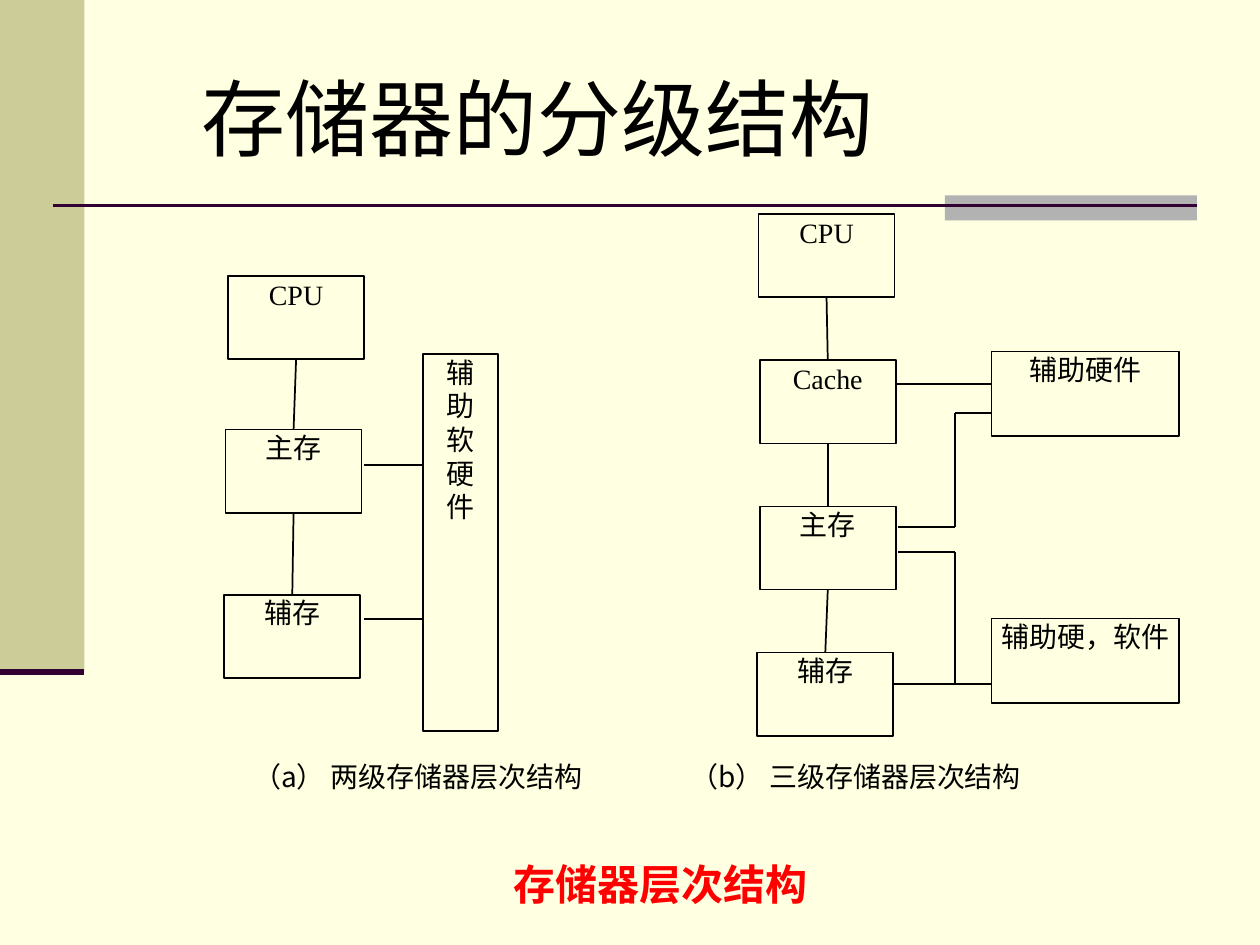
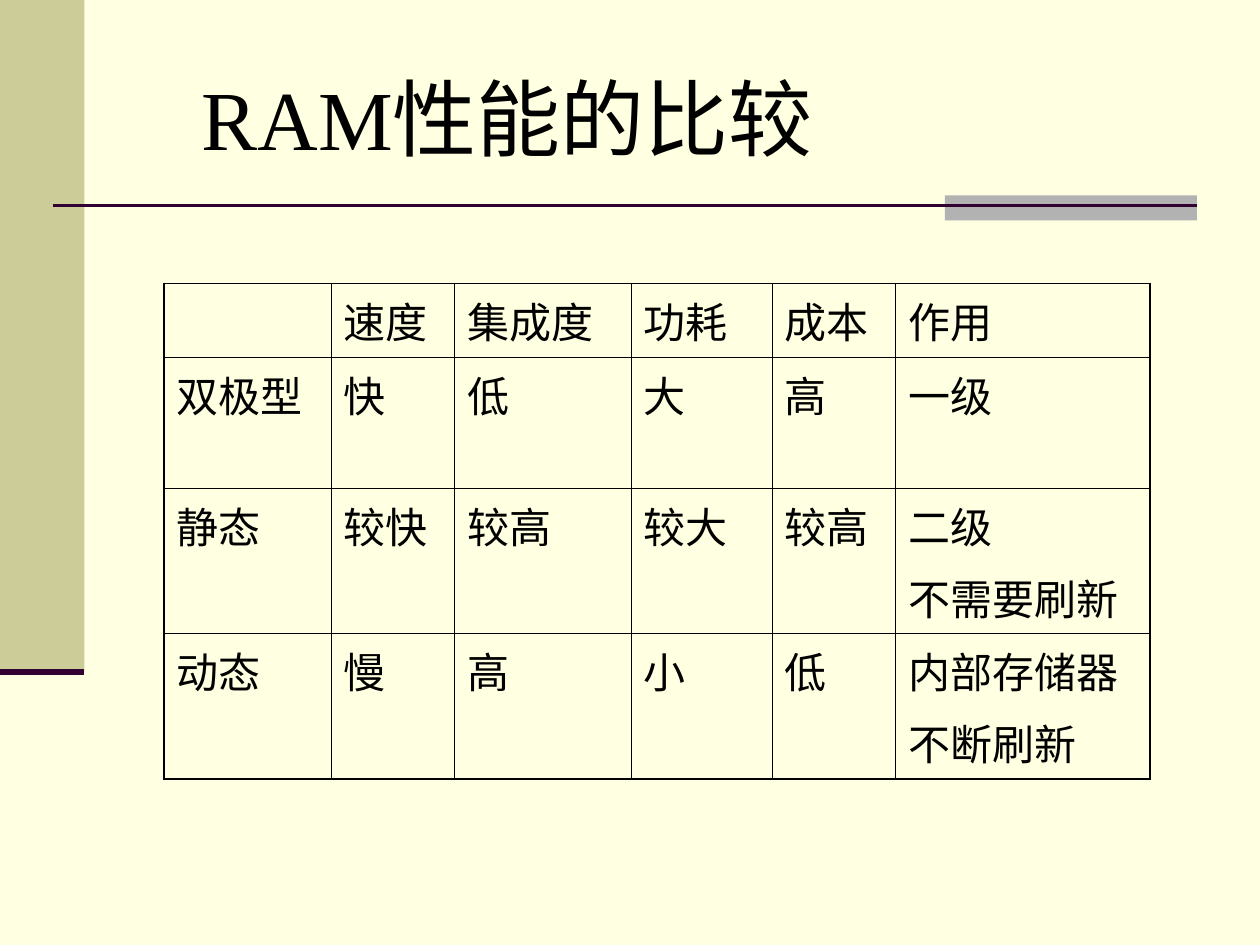
from lxml import etree
from pptx import Presentation
from pptx import util as u
from pptx.dml.color import RGBColor
from pptx.enum import shapes, text
from pptx.oxml.ns import qn

BACKGROUND = RGBColor(0xFF, 0xFF, 0xE1)
OLIVE = RGBColor(0xCC, 0xCC, 0x99)
GREY = RGBColor(0xB2, 0xB2, 0xB2)
PLUM = RGBColor(0x33, 0x00, 0x33)
BLACK = RGBColor(0x00, 0x00, 0x00)
RED = RGBColor(0xFF, 0x00, 0x00)

SERIF, SANS, CHINESE = "Times New Roman", "Arial", "Noto Sans CJK SC"
TOP, LEFT, BOTTOM, RIGHT = range(4)

BOX_SIZE = (1.08, 0.66)
HELPER_SIZE = (1.49, 0.67)

# Each level: label, left, top; neighbours in a chain are joined.
TWO_LEVELS = [("CPU", 1.81, 2.19), ("主存", 1.79, 3.41), ("辅存", 1.78, 4.72)]
THREE_LEVELS = [("CPU", 6.02, 1.7), ("Cache", 6.03, 2.86),
                ("主存", 6.03, 4.02), ("辅存", 6.01, 5.18)]
HELPERS = [("辅助硬件", 7.87, 2.79), ("辅助硬，软件", 7.87, 4.91)]
TALL_HELPER = ("辅\n助\n软\n硬\n件", 3.36, 2.81, 0.59, 2.99)
BEND = 7.58
WIRES = [
    (2.89, 3.69, 3.36, 3.69), (2.89, 4.91, 3.36, 4.91),
    (7.11, 3.05, 7.87, 3.05), (7.09, 5.43, 7.87, 5.43),
    (7.13, 4.18, BEND, 4.18), (BEND, 4.18, BEND, 3.28), (BEND, 3.28, 7.87, 3.28),
    (7.13, 4.38, BEND, 4.38), (BEND, 4.38, BEND, 5.43),
]
CAPTIONS = [("（a） 两级存储器层次结构", 2.0), ("（b） 三级存储器层次结构", 5.47)]
FIGURE_TITLE = "存储器层次结构"

RAM_ROWS = [
    ("", "速度", "集成度", "功耗", "成本", "作用"),
    ("双极型", "快", "低", "大", "高", "一级"),
    ("静态", "较快", "较高", "较大", "较高", "二级\n不需要刷新"),
    ("动态", "慢", "高", "小", "低", "内部存储器\n不断刷新"),
]
COLUMN_WIDTHS = [1.33, 0.98, 1.4, 1.12, 0.98, 2.02]
ROW_HEIGHTS = [0.59, 1.04, 1.15, 1.15]
OUTER, INNER = 1.08, 0.45


def inches(*lengths):
    return [u.Inches(length) for length in lengths]


def write(frame, words, size, font, color=BLACK, align=None, gap=0, bold=False):
    """Fill a text frame, one paragraph a line, with gap points between them."""
    frame.text = words
    for index, para in enumerate(frame.paragraphs):
        para.alignment = align
        para.space_before = u.Pt(gap if index else 0)
        para.font.size = u.Pt(size)
        para.font.name = font
        para.font.bold = bold
        para.font.color.rgb = color
        east_asian = etree.SubElement(para.font._element, qn("a:ea"))
        east_asian.set("typeface", CHINESE)


def tighten(frame):
    frame.margin_left = frame.margin_right = u.Inches(0.01)
    frame.margin_top = frame.margin_bottom = u.Inches(0.01)
    frame.vertical_anchor = text.MSO_ANCHOR.TOP
    frame.word_wrap = True


def add_band(slide, color, *place):
    band = slide.shapes.add_shape(shapes.MSO_SHAPE.RECTANGLE, *inches(*place))
    band.shadow.inherit = False
    band.fill.solid()
    band.fill.fore_color.rgb = color
    band.line.fill.background()


def add_line(slide, ends, color=BLACK, width=1):
    line = slide.shapes.add_connector(shapes.MSO_CONNECTOR.STRAIGHT, *inches(*ends))
    line.line.color.rgb = color
    line.line.width = u.Pt(width)
    etree.SubElement(line._element.spPr, qn("a:effectLst"))
    return line


def add_box(slide, label, *place):
    box = slide.shapes.add_shape(shapes.MSO_SHAPE.RECTANGLE, *inches(*place))
    box.shadow.inherit = False
    box.fill.background()
    box.line.color.rgb = BLACK
    box.line.width = u.Pt(1)
    tighten(box.text_frame)
    write(box.text_frame, label, 16, SERIF, align=text.PP_ALIGN.CENTER)
    return box


def add_label(slide, words, place, *style, **options):
    label = slide.shapes.add_textbox(*inches(*place))
    tighten(label.text_frame)
    write(label.text_frame, words, *style, **options)


def add_chain(slide, levels):
    boxes = [add_box(slide, *level, *BOX_SIZE) for level in levels]
    for upper, lower in zip(boxes, boxes[1:]):
        link = add_line(slide, (0, 0, 0, 0))
        link.begin_connect(upper, BOTTOM)
        link.end_connect(lower, TOP)


def add_titled_slide(deck, title):
    slide = deck.slides.add_slide(deck.slide_layouts.get_by_name("Title Only"))
    add_band(slide, OLIVE, 0, 0, 0.67, 5.33)
    add_band(slide, GREY, 7.5, 1.55, 2, 0.2)
    add_line(slide, (0.42, 1.63, 9.5, 1.63), PLUM, 1.5)
    add_line(slide, (0, 5.33, 0.67, 5.33), PLUM, 3.5)
    holder = slide.shapes.title
    holder.left, holder.top, holder.width, holder.height = inches(1.5, 0.3, 8.5, 1.25)
    holder.text_frame.vertical_anchor = text.MSO_ANCHOR.MIDDLE
    write(holder.text_frame, title, 48, SERIF, align=text.PP_ALIGN.LEFT)
    return slide


def set_borders(cell, widths):
    """Draw the cell's edges; widths maps L, R, T and B to points."""
    properties = cell._tc.get_or_add_tcPr()
    for side, width in widths.items():
        edge = etree.SubElement(properties, qn(f"a:ln{side}"), w=str(u.Pt(width)))
        fill = etree.SubElement(edge, qn("a:solidFill"))
        etree.SubElement(fill, qn("a:srgbClr"), val=str(BLACK))


def build_hierarchy(deck):
    slide = add_titled_slide(deck, "存储器的分级结构")
    add_chain(slide, TWO_LEVELS)
    add_chain(slide, THREE_LEVELS)
    add_box(slide, *TALL_HELPER)
    for helper in HELPERS:
        add_box(slide, *helper, *HELPER_SIZE)
    for wire in WIRES:
        add_line(slide, wire)
    for caption, left in CAPTIONS:
        add_label(slide, caption, (left, 6.02, 3.2, 0.7), 16, CHINESE)
    add_label(slide, FIGURE_TITLE, (3.39, 6.8, 3.71, 0.7), 24, SERIF, RED,
              align=text.PP_ALIGN.CENTER, bold=True)


def build_comparison(deck):
    slide = add_titled_slide(deck, "RAM性能的比较")
    place = inches(1.3, 2.25, sum(COLUMN_WIDTHS), sum(ROW_HEIGHTS))
    table = slide.shapes.add_table(len(RAM_ROWS), len(COLUMN_WIDTHS), *place).table
    table.first_row = table.horz_banding = False
    for column, width in zip(table.columns, COLUMN_WIDTHS):
        column.width = u.Inches(width)
    last_row, last_column = len(RAM_ROWS) - 1, len(COLUMN_WIDTHS) - 1
    for r, (words, height) in enumerate(zip(RAM_ROWS, ROW_HEIGHTS)):
        table.rows[r].height = u.Inches(height)
        for c, word in enumerate(words):
            cell = table.cell(r, c)
            on_edge = {"L": c == 0, "R": c == last_column, "T": r == 0, "B": r == last_row}
            set_borders(cell, {side: OUTER if edge else INNER
                               for side, edge in on_edge.items()})
            cell.fill.background()
            write(cell.text_frame, word, 24, SANS, gap=6)


def main():
    deck = Presentation()
    deck.slide_width, deck.slide_height = inches(10, 7.5)
    fill = deck.slide_master.background.fill
    fill.solid()
    fill.fore_color.rgb = BACKGROUND
    build_hierarchy(deck)
    build_comparison(deck)
    deck.save("out.pptx")


if __name__ == "__main__":
    main()
